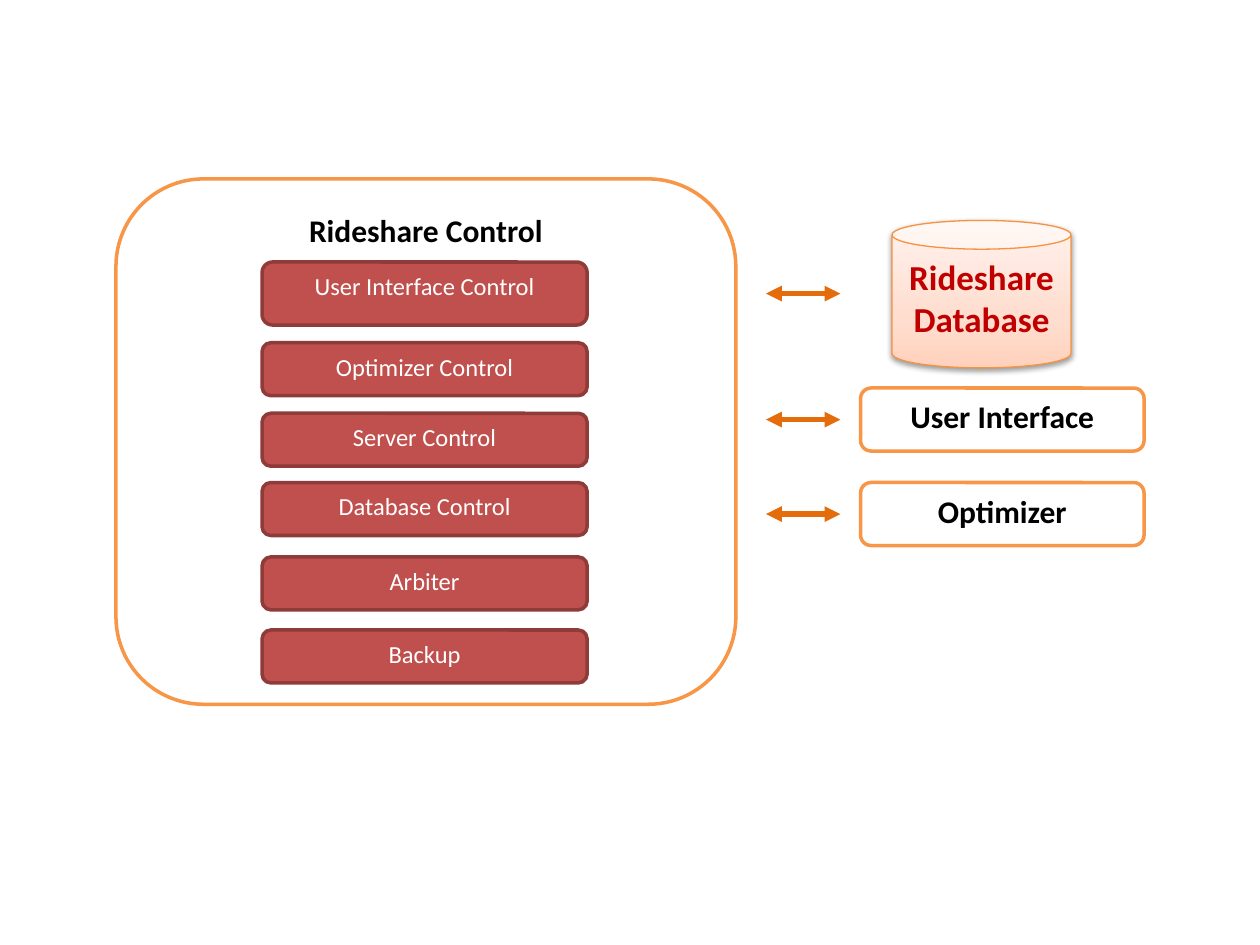
from dataclasses import dataclass

import pptx
import pptx.dml.color
import pptx.enum.shapes
import pptx.enum.text
import pptx.oxml
import pptx.oxml.ns
import pptx.util
from pptx.util import Inches

SHAPES = pptx.enum.shapes.MSO_SHAPE
COLORS = {
    "white": "FFFFFF", "black": "000000", "orange": "F79646",
    "arrow": "E46C0A", "red": "C0504D", "dark red": "8E3B39",
    "can line": "F69240", "can text": "C00000",
}
CAN_STOPS = [(0, "FFD2BD"), (35, "FFDED0"), (100, "FFF2ED")]


@dataclass
class Style:
    fill: str
    line: str
    color: str
    size: int
    bold: bool
    line_width: float = 2


@dataclass
class Block:
    text: str
    left: float
    top: float
    width: float
    height: float
    style: Style
    kind: int = SHAPES.ROUNDED_RECTANGLE


OUTLINED = Style("white", "orange", "black", 18, True)
CONTROL = Style("red", "dark red", "white", 14, False)
DATABASE = Style("white", "can line", "can text", 20, True, 0.75)

CONTROLS = [
    ("User Interface Control", 2.08, 0.5),
    ("Optimizer Control", 2.72, 0.42),
    ("Server Control", 3.28, 0.42),
    ("Database Control", 3.83, 0.42),
    ("Arbiter", 4.42, 0.42),
    ("Backup", 5.0, 0.42),
]


def rgb(name: str) -> pptx.dml.color.RGBColor:
    return pptx.dml.color.RGBColor.from_string(COLORS[name])


def add_xml(parent, xml: str) -> None:
    """Append one DrawingML element, written without its namespace."""
    tag, rest = xml.split(" ", 1) if " " in xml else (xml[:-2], "/>")
    namespace = pptx.oxml.ns.nsdecls("a")
    parent.append(pptx.oxml.parse_xml(f"{tag} {namespace} {rest}"))


def write_text(frame, text: str, *, size: int, color: str, bold: bool) -> None:
    frame.word_wrap = True
    frame.vertical_anchor = pptx.enum.text.MSO_ANCHOR.TOP
    para = frame.paragraphs[0]
    para.alignment = pptx.enum.text.PP_ALIGN.CENTER
    span = para.add_run()
    span.text = text
    span.font.name = "Calibri"
    span.font.size = pptx.util.Pt(size)
    span.font.bold = bold
    span.font.color.rgb = rgb(color)


def add_block(page, block: Block):
    style = block.style
    box = page.shapes.add_shape(
        block.kind, Inches(block.left), Inches(block.top),
        Inches(block.width), Inches(block.height))
    box.shadow.inherit = False
    box.fill.solid()
    box.fill.fore_color.rgb = rgb(style.fill)
    box.line.color.rgb = rgb(style.line)
    box.line.width = pptx.util.Pt(style.line_width)
    write_text(box.text_frame, block.text, size=style.size,
               color=style.color, bold=style.bold)
    return box


def add_database(page, block: Block) -> None:
    can = add_block(page, block)
    can.adjustments[0] = 0.195

    # Three-stop gradient, darkest at the bottom
    can.fill.gradient()
    can.fill.gradient_angle = 90
    properties = can._element.spPr
    stops = properties.find(".//" + pptx.oxml.ns.qn("a:gsLst"))
    for stop in list(stops):
        stops.remove(stop)
    for position, color in CAN_STOPS:
        add_xml(stops, f'<a:gs pos="{position * 1000}">'
                       f'<a:srgbClr val="{color}"/></a:gs>')

    # Soft shadow below
    effects = properties.find(pptx.oxml.ns.qn("a:effectLst"))
    add_xml(effects, '<a:outerShdw blurRad="40000" dist="20000" dir="5400000" '
                     'rotWithShape="0"><a:srgbClr val="000000">'
                     '<a:alpha val="38000"/></a:srgbClr></a:outerShdw>')


def add_double_arrow(page, y: float) -> None:
    arrow = page.shapes.add_connector(
        pptx.enum.shapes.MSO_CONNECTOR.STRAIGHT,
        Inches(6.67), Inches(y), Inches(6.08), Inches(y))
    arrow.line.color.rgb = rgb("arrow")
    arrow.line.width = pptx.util.Pt(3)
    properties = arrow._element.spPr
    outline = properties.find(pptx.oxml.ns.qn("a:ln"))
    for end in ("headEnd", "tailEnd"):
        add_xml(outline, f'<a:{end} type="triangle"/>')
    add_xml(properties, "<a:effectLst/>")


def main() -> None:
    deck = pptx.Presentation()
    deck.slide_width, deck.slide_height = Inches(10), Inches(7.5)
    page = deck.slides.add_slide(deck.slide_layouts[6])

    # Control panel and its modules
    add_block(page, Block("Rideshare Control", 0.92, 1.42, 4.92, 4.17, OUTLINED))
    for text, top, height in CONTROLS:
        add_block(page, Block(text, 2.08, top, 2.58, height, CONTROL))

    # External parts
    add_database(page, Block("Rideshare Database", 7.08, 1.75, 1.42, 1.17,
                             DATABASE, SHAPES.CAN))
    for text, top in [("User Interface", 3.08), ("Optimizer", 3.83)]:
        add_block(page, Block(text, 6.83, top, 2.25, 0.5, OUTLINED))

    # Links between the panel and the external parts
    for y in (2.33, 3.33, 4.08):
        add_double_arrow(page, y)

    deck.save("out.pptx")


if __name__ == "__main__":
    main()
